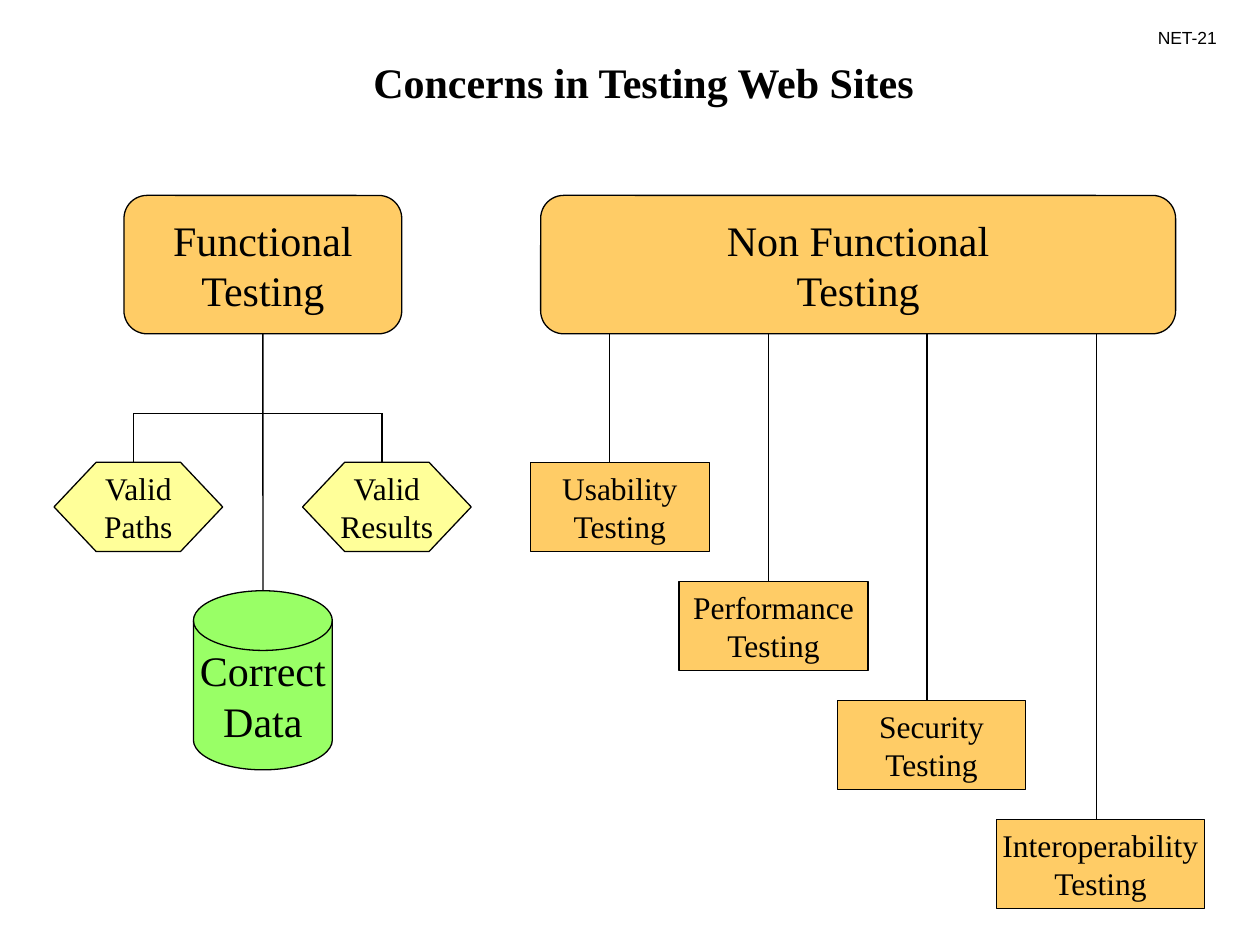
import pptx
import pptx.util
import pptx.dml.color
import pptx.enum.shapes
import pptx.enum.text
from pptx.util import Cm

KIND = pptx.enum.shapes.MSO_SHAPE
ALIGN = pptx.enum.text.PP_ALIGN
ORANGE, YELLOW, GREEN, BLACK = "FFCC66", "FFFF99", "99FF66", "000000"


def color(code):
    return pptx.dml.color.RGBColor.from_string(code)


def write(frame, lines, size, align, face="Times New Roman", bold=False):
    """Fill a text frame with one paragraph per line."""
    for i, line in enumerate(lines):
        para = frame.paragraphs[0] if i == 0 else frame.add_paragraph()
        para.text = line
        para.alignment = align
        para.font.name = face
        para.font.size = pptx.util.Pt(size)
        para.font.bold = bold
        para.font.color.rgb = color(BLACK)


def add_label(slide, place, text, size, align, wrap, **style):
    box = slide.shapes.add_textbox(*map(Cm, place))
    box.text_frame.word_wrap = wrap
    write(box.text_frame, [text], size, align, **style)


def add_node(slide, kind, place, lines, size, fill, adjust=None):
    node = slide.shapes.add_shape(kind, *map(Cm, place))
    node.shadow.inherit = False
    node.fill.solid()
    node.fill.fore_color.rgb = color(fill)
    node.line.color.rgb = color(BLACK)
    node.line.width = pptx.util.Pt(0.75)
    if adjust:
        node.adjustments[0] = adjust
    frame = node.text_frame
    frame.word_wrap = False
    frame.vertical_anchor = pptx.enum.text.MSO_ANCHOR.MIDDLE
    write(frame, lines, size, ALIGN.CENTER)
    return node


def add_line(slide, x1, y1, x2, y2):
    line = slide.shapes.add_connector(
        pptx.enum.shapes.MSO_CONNECTOR.STRAIGHT, *map(Cm, (x1, y1, x2, y2)))
    line.line.color.rgb = color(BLACK)
    line.line.width = pptx.util.Pt(0.75)
    props = line._element.spPr
    props.append(pptx.oxml.parse_xml(
        '<a:effectLst xmlns:a='
        '"http://schemas.openxmlformats.org/drawingml/2006/main"/>'))
    return line


def add_main(slide, left, width, lines):
    return add_node(slide, KIND.ROUNDED_RECTANGLE, (left, 3.94, width, 2.79),
                    lines, 24, ORANGE, 0.167)


def draw_left(slide):
    """Functional testing and its three concerns."""
    root = add_main(slide, 2.5, 5.6, ["Functional", "Testing"])
    for left, word in ((1.09, "Paths"), (6.1, "Results")):
        add_node(slide, KIND.HEXAGON, (left, 9.32, 3.4, 1.8),
                 ["Valid", word], 18, YELLOW, 0.472)
    add_node(slide, KIND.FLOWCHART_MAGNETIC_DISK, (3.9, 11.91, 2.8, 3.61),
             ["Correct", "Data"], 24, GREEN)
    stem = add_line(slide, 5.3, 6.73, 5.3, 11.91)
    stem.begin_connect(root, 2)
    ends = (2.69, 7.7)
    add_line(slide, ends[0], 8.33, ends[1], 8.33)
    for x in ends:
        add_line(slide, x, 8.33, x, 9.32)


def draw_right(slide):
    """Non functional testing and its staircase of concerns."""
    add_main(slide, 10.9, 12.8, ["Non Functional", "Testing"])
    steps = (
        ("Usability", 10.69, 3.61, 12.29),
        ("Performance", 13.69, 3.81, 15.49),
        ("Security", 16.89, 3.78, 18.69),
        ("Interoperability", 20.09, 4.19, 22.1),
    )
    for i, (word, left, width, x) in enumerate(steps):
        top = 9.32 + 2.4 * i
        add_node(slide, KIND.RECTANGLE, (left, top, width, 1.8),
                 [word, "Testing"], 18, ORANGE)
        add_line(slide, x, 6.73, x, top)


def main():
    deck = pptx.Presentation()
    deck.slide_width, deck.slide_height = Cm(25.4), Cm(19.05)
    slide = deck.slides.add_slide(deck.slide_layouts[6])
    add_label(slide, (3.45, 1.02, 19.05, 1.27),
              "Concerns in Testing Web Sites", 24, ALIGN.CENTER, True,
              bold=True)
    draw_left(slide)
    draw_right(slide)
    add_label(slide, (23.09, 0.43, 1.7, 0.69), "NET-21", 10, ALIGN.LEFT,
              False, face="Arial")
    deck.save("out.pptx")


if __name__ == "__main__":
    main()
